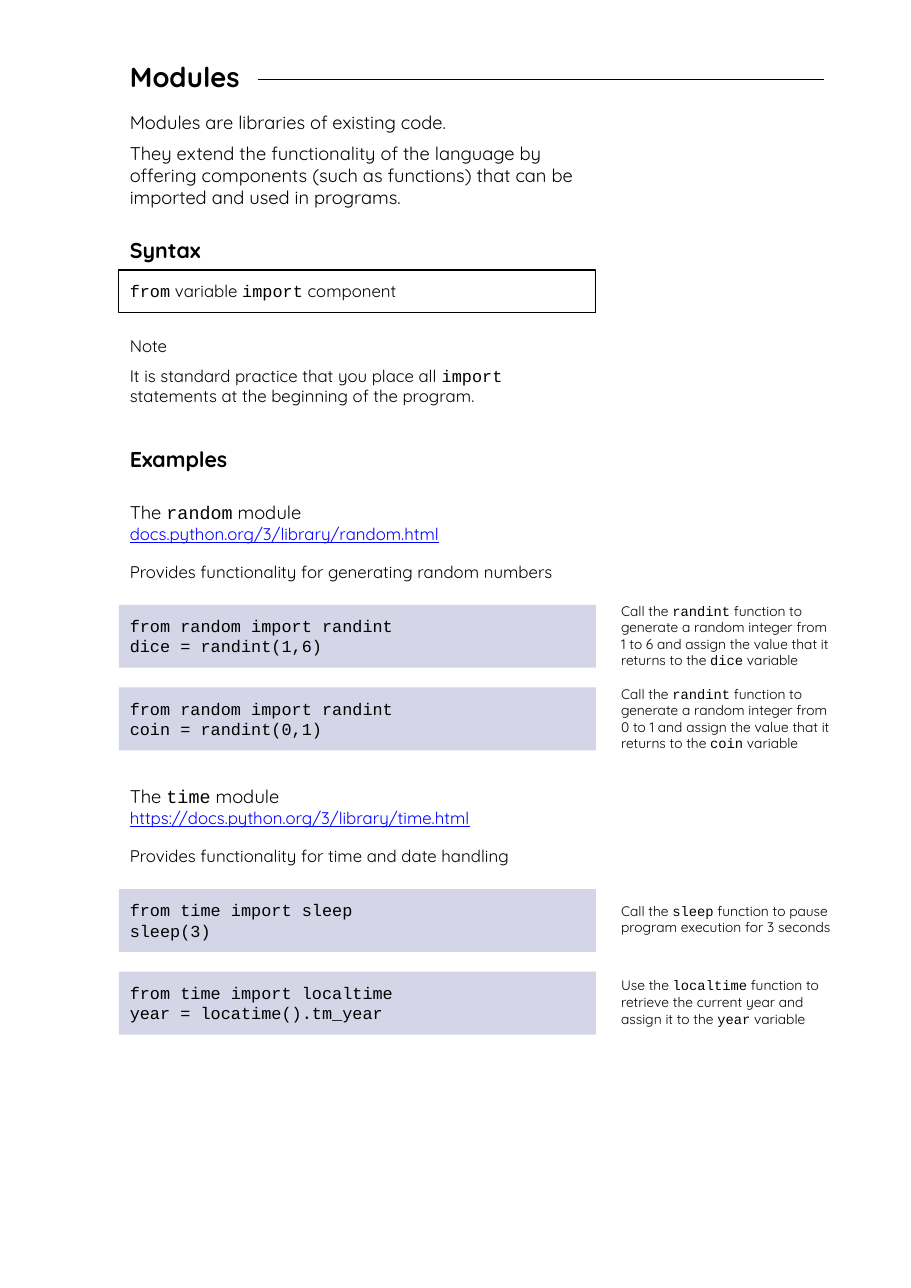
import dataclasses

import lxml.etree
import pptx
import pptx.dml.color
import pptx.enum.shapes
import pptx.enum.text
import pptx.oxml.ns
import pptx.shapes.autoshape
import pptx.slide
import pptx.util

Inches = pptx.util.Inches
RECTANGLE = pptx.enum.shapes.MSO_SHAPE.RECTANGLE
ROUNDED = pptx.enum.shapes.MSO_SHAPE.ROUNDED_RECTANGLE
COLORS = {"text": "000000", "link": "0000FF", "code": "5B5BA5", "heading": "FFFFFF"}
TEXT_FONT = "Quicksand"
CODE_FONT = "Courier New"
LINE_HEIGHT = 1.2
LEFT, WIDTH = 1.08, 4.33
NOTE_LEFT, NOTE_WIDTH = 5.54, 2.17
CODE_HEIGHT = 0.57
CODE_OFFSET, CODE_PITCH = 1.02, 0.75
TEXT_INSETS = (0.1, 0.08, 0.1, 0)
CODE_INSETS = (0.1, 0.1, 0.1, 0.1)
FLUSH_INSETS = (0.1, 0, 0.1, 0)


@dataclasses.dataclass
class Line:
    """A paragraph; words between backticks are set in the code font."""
    text: str
    size: float = 11
    color: str = "text"
    bold: bool = False
    underline: bool = False
    space_before: float = 0


@dataclasses.dataclass
class Example:
    code: list[str]
    note: list[str]
    note_offset: float
    note_height: float


@dataclasses.dataclass
class Module:
    name: str
    address: str
    purpose: str
    top: float
    examples: list[Example]


MODULES = [
    Module("random", "docs.python.org/3/library/random.html",
           "Provides functionality for generating random numbers", 4.47, [
               Example(["from random import randint", "dice = randint(1,6)"],
                       ["Call the `randint` function to generate a random integer from",
                        "1 to 6 and assign the value that it returns to the `dice` variable"],
                       -0.1, 0.73),
               Example(["from random import randint", "coin = randint(0,1)"],
                       ["Call the `randint` function to generate a random integer from",
                        "0 to 1 and assign the value that it returns to the `coin` variable"],
                       -0.1, 0.73),
           ]),
    Module("time", "https://docs.python.org/3/library/time.html",
           "Provides functionality for time and date handling", 7.05, [
               Example(["from time import sleep", "sleep(3)"],
                       ["Call the `sleep` function to pause program execution for 3 seconds"],
                       0.04, 0.46),
               Example(["from time import localtime", "year = locatime().tm_year"],
                       ["Use the `localtime` function to retrieve the current year "
                        "and assign it to the `year` variable"],
                       -0.03, 0.57),
           ]),
]


def rgb(name: str) -> pptx.dml.color.RGBColor:
    return pptx.dml.color.RGBColor.from_string(COLORS[name])


def write_text(shape, lines: list[Line], *,
               insets: tuple[float, ...] = TEXT_INSETS) -> None:
    frame = shape.text_frame
    frame.word_wrap = True
    frame.auto_size = pptx.enum.text.MSO_AUTO_SIZE.NONE
    frame.vertical_anchor = pptx.enum.text.MSO_ANCHOR.TOP
    (frame.margin_left, frame.margin_top,
     frame.margin_right, frame.margin_bottom) = map(Inches, insets)
    for index, line in enumerate(lines):
        paragraph = frame.add_paragraph() if index else frame.paragraphs[0]
        paragraph.alignment = pptx.enum.text.PP_ALIGN.LEFT
        paragraph.line_spacing = pptx.util.Pt(line.size * LINE_HEIGHT)
        paragraph.space_before = pptx.util.Pt(line.space_before)
        for position, words in enumerate(line.text.split("`")):
            if not words:
                continue
            run = paragraph.add_run()
            run.text = words
            run.font.name = CODE_FONT if position % 2 else TEXT_FONT
            run.font.size = pptx.util.Pt(line.size)
            run.font.bold = line.bold
            run.font.underline = line.underline
            run.font.color.rgb = rgb(line.color)


def add_box(slide: pptx.slide.Slide, left: float, top: float, width: float, height: float,
            lines: list[Line], *, kind: pptx.enum.shapes.MSO_SHAPE = ROUNDED,
            fill: str | None = None, opacity: int = 100, outline: bool = False,
            insets: tuple[float, ...] = TEXT_INSETS) -> pptx.shapes.autoshape.Shape:
    """Add a text box; a rounded one has its corner radius set to zero."""
    shape = slide.shapes.add_shape(kind, Inches(left), Inches(top),
                                   Inches(width), Inches(height))
    shape.shadow.inherit = False
    if kind == ROUNDED:
        shape.adjustments[0] = 0
    if fill:
        shape.fill.solid()
        shape.fill.fore_color.rgb = rgb(fill)
        if opacity < 100:
            color = shape._element.spPr.find(".//" + pptx.oxml.ns.qn("a:srgbClr"))
            lxml.etree.SubElement(color, pptx.oxml.ns.qn("a:alpha"), val=str(opacity * 1000))
    else:
        shape.fill.background()
    if outline:
        shape.line.color.rgb = rgb("text")
        shape.line.width = pptx.util.Pt(0.75)
    else:
        shape.line.fill.background()
    write_text(shape, lines, insets=insets)
    return shape


def add_title(slide: pptx.slide.Slide, text: str) -> None:
    """Place the title and the rule that runs beside it."""
    title = slide.shapes.title
    title.left, title.top = Inches(LEFT), Inches(0.46)
    title.width, title.height = Inches(1.26), Inches(0.42)
    write_text(title, [Line(text, size=18, bold=True)])
    rule = slide.shapes.add_connector(pptx.enum.shapes.MSO_CONNECTOR.STRAIGHT, Inches(2.34),
                                      Inches(0.72), Inches(7.48), Inches(0.72))
    rule.line.color.rgb = rgb("text")
    rule.line.width = pptx.util.Pt(0.75)
    lxml.etree.SubElement(rule._element.spPr, pptx.oxml.ns.qn("a:effectLst"))


def add_heading(slide: pptx.slide.Slide, text: str, top: float) -> None:
    add_box(slide, LEFT, top, WIDTH, 0.28, [Line(text, size=14, bold=True)],
            kind=RECTANGLE, fill="heading", insets=FLUSH_INSETS)


def add_module(slide: pptx.slide.Slide, module: Module) -> None:
    add_box(slide, LEFT, module.top, WIDTH, 0.9, [
        Line(f"The `{module.name}` module", size=12),
        Line(module.address, color="link", underline=True),
        Line(module.purpose, space_before=12),
    ])
    for index, example in enumerate(module.examples):
        top = module.top + CODE_OFFSET + index * CODE_PITCH
        add_box(slide, LEFT, top, WIDTH, CODE_HEIGHT,
                [Line(f"`{code}`") for code in example.code],
                fill="code", opacity=25, insets=CODE_INSETS)
        add_box(slide, NOTE_LEFT, top + example.note_offset, NOTE_WIDTH, example.note_height,
                [Line(text, size=9) for text in example.note])


def main() -> None:
    presentation = pptx.Presentation()
    presentation.slide_width, presentation.slide_height = Inches(8.27), Inches(11.69)
    slide = presentation.slides.add_slide(presentation.slide_layouts[5])
    add_title(slide, "Modules")
    add_box(slide, LEFT, 1.01, WIDTH, 1.05, [
        Line("Modules are libraries of existing code.", size=12),
        Line("They extend the functionality of the language by offering components "
             "(such as functions) that can be imported and used in programs.",
             size=12, space_before=6),
    ], insets=FLUSH_INSETS)
    add_heading(slide, "Syntax", 2.15)
    add_box(slide, LEFT, 2.45, WIDTH, 0.39, [Line("`from` variable `import` component")],
            outline=True, insets=CODE_INSETS)
    add_box(slide, LEFT, 2.97, WIDTH, 0.79, [
        Line("Note"),
        Line("It is standard practice that you place all `import` statements "
             "at the beginning of the program.", space_before=6),
    ], insets=(0.1, 0.08, 0.02, 0))
    add_heading(slide, "Examples", 4.05)
    for module in MODULES:
        add_module(slide, module)
    presentation.save("out.pptx")


if __name__ == "__main__":
    main()
